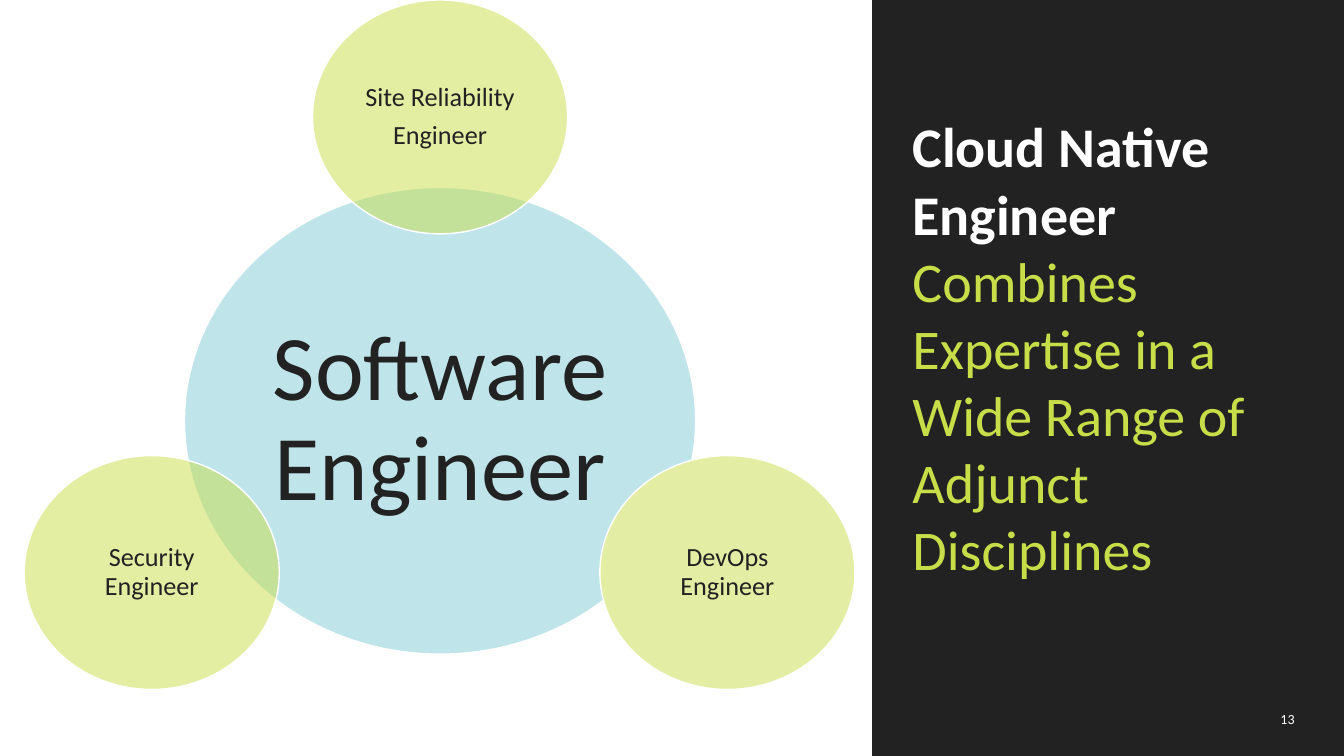
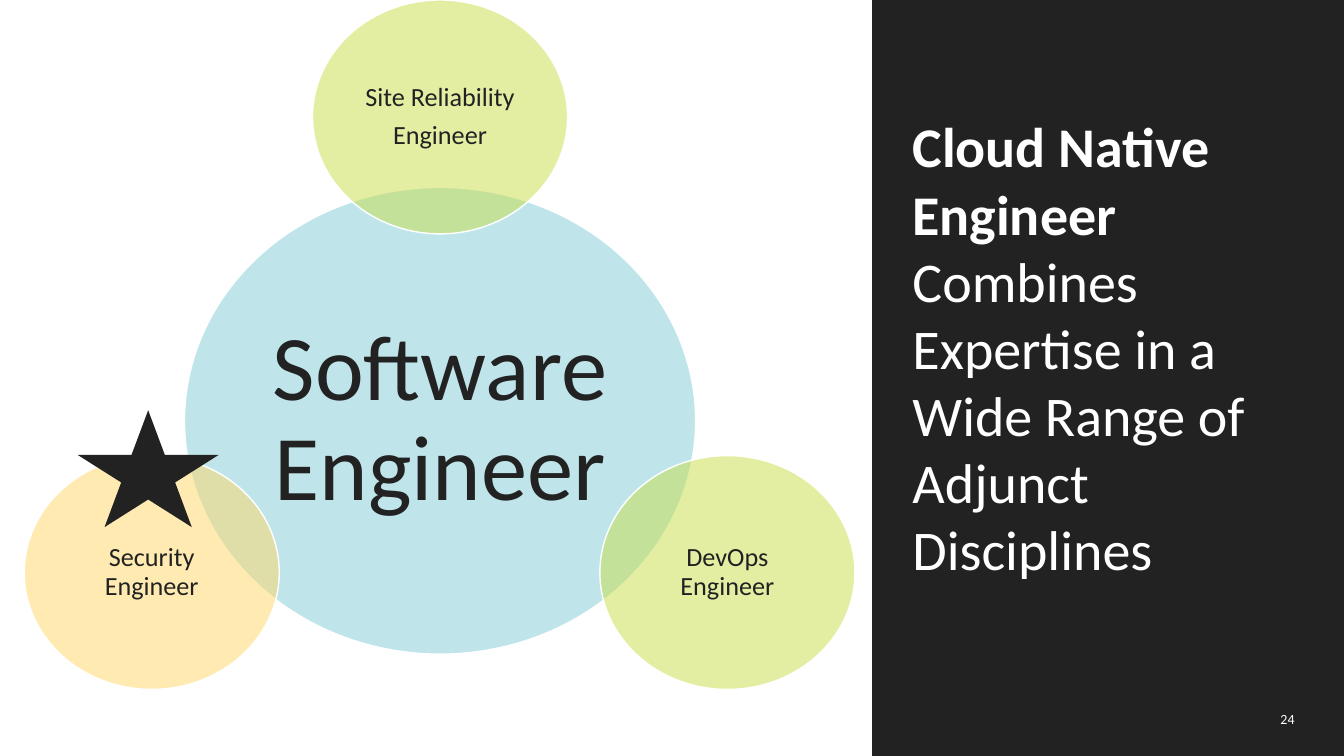
"""Build two slides showing the disciplines around a software engineer."""
from lxml.etree import SubElement
from pptx import Presentation
from pptx.dml.color import RGBColor
from pptx.enum.shapes import MSO_SHAPE as Shape
from pptx.enum.text import MSO_ANCHOR as Anchor, MSO_AUTO_SIZE as AutoSize, PP_ALIGN as Align
from pptx.oxml.ns import qn
from pptx.util import Inches, Pt

DARK, WHITE, LIME, PALE_LIME = "222222", "FFFFFF", "C8DE49", "E3EEA4"
AQUA, YELLOW = "80CDD8", "FFD966"
FONT = "Calibri"


def color(hex_string):
    return RGBColor.from_string(hex_string)


def write(frame, texts, size, colors, bolds=(False,), align=Align.LEFT, anchor=Anchor.MIDDLE,
          margin=0.0, wrap=True, spacing=1.0, after=0.0):
    frame.auto_size = AutoSize.NONE
    frame.word_wrap = wrap
    frame.vertical_anchor = anchor
    frame.margin_left = frame.margin_right = Inches(margin)
    frame.margin_top = frame.margin_bottom = Inches(margin / 2)
    for index, text in enumerate(texts):
        para = frame.add_paragraph() if index else frame.paragraphs[0]
        para.text = text
        para.alignment = align
        para.line_spacing = spacing
        para.space_before = Pt(0)
        para.space_after = Pt(after)
        for span in para.runs:
            span.font.name = FONT
            span.font.size = Pt(size)
            span.font.bold = bolds[index % len(bolds)]
            span.font.color.rgb = color(colors[index % len(colors)])


deck = Presentation()
deck.slide_width, deck.slide_height = Inches(13.33), Inches(7.5)
title_only = deck.slide_layouts[5]

HUB = (1.83, 1.86, 5.07, 4.63)
SATELLITE_WIDTH, SATELLITE_HEIGHT = 2.53, 2.32
satellites = [
    (["Site Reliability", "Engineer"], 3.1, 0),
    (["DevOps\vEngineer"], 5.95, 4.52),
    (["Security\vEngineer"], 0.24, 4.52),
]
pages = [
    {"number": "13", "subtitle": LIME, "starred": False,
     "fills": [(LIME, 50), (PALE_LIME, 100), (LIME, 50)]},
    {"number": "24", "subtitle": WHITE, "starred": True,
     "fills": [(LIME, 50), (LIME, 50), (YELLOW, 50)]},
]

for content in pages:
    page = deck.slides.add_slide(title_only)

    panel = page.shapes.add_shape(Shape.RECTANGLE, Inches(8.65), 0, Inches(4.68), Inches(7.5))
    panel.shadow.inherit = False
    panel.fill.solid()
    panel.fill.fore_color.rgb = color(DARK)
    panel.line.fill.background()

    number = page.shapes.add_textbox(Inches(12.57), Inches(7.01), Inches(0.27), Inches(0.24))
    write(number.text_frame, [content["number"]], 10, [WHITE], align=Align.RIGHT)

    circles = [(["Software\vEngineer"], HUB, 66, (AQUA, 50))]
    for (texts, left, top), fill in zip(satellites, content["fills"]):
        circles.append((texts, (left, top, SATELLITE_WIDTH, SATELLITE_HEIGHT), 18.7, fill))

    for texts, bounds, size, (fill, opacity) in circles:
        circle = page.shapes.add_shape(Shape.OVAL, *[Inches(length) for length in bounds])
        circle.shadow.inherit = False
        circle.fill.solid()
        circle.fill.fore_color.rgb = color(fill)
        if opacity < 100:
            fill_color = circle.element.spPr.find(".//" + qn("a:srgbClr"))
            SubElement(fill_color, qn("a:alpha"), val=str(opacity * 1000))
        circle.line.color.rgb = color(WHITE)
        circle.line.width = Pt(1)
        write(circle.text_frame, texts, size, [DARK], align=Align.CENTER, wrap=False,
              spacing=0.9, after=round(size * 0.35))

    title = page.shapes.title
    title.left, title.top, title.width, title.height = [
        Inches(length) for length in (8.95, 1.06, 4.02, 4.81)]
    write(title.text_frame,
          ["Cloud Native Engineer", "Combines Expertise in a Wide Range of Adjunct Disciplines"],
          40, [WHITE, content["subtitle"]], bolds=(True, False), anchor=Anchor.TOP, margin=0.1)
    panel.element.addnext(title.element)

    if content["starred"]:
        star = page.shapes.add_shape(
            Shape.STAR_5_POINT, Inches(0.77), Inches(4.07), Inches(1.4), Inches(1.16))
        star.shadow.inherit = False
        star.fill.solid()
        star.fill.fore_color.rgb = color(DARK)
        star.line.fill.background()

deck.save("out.pptx")
